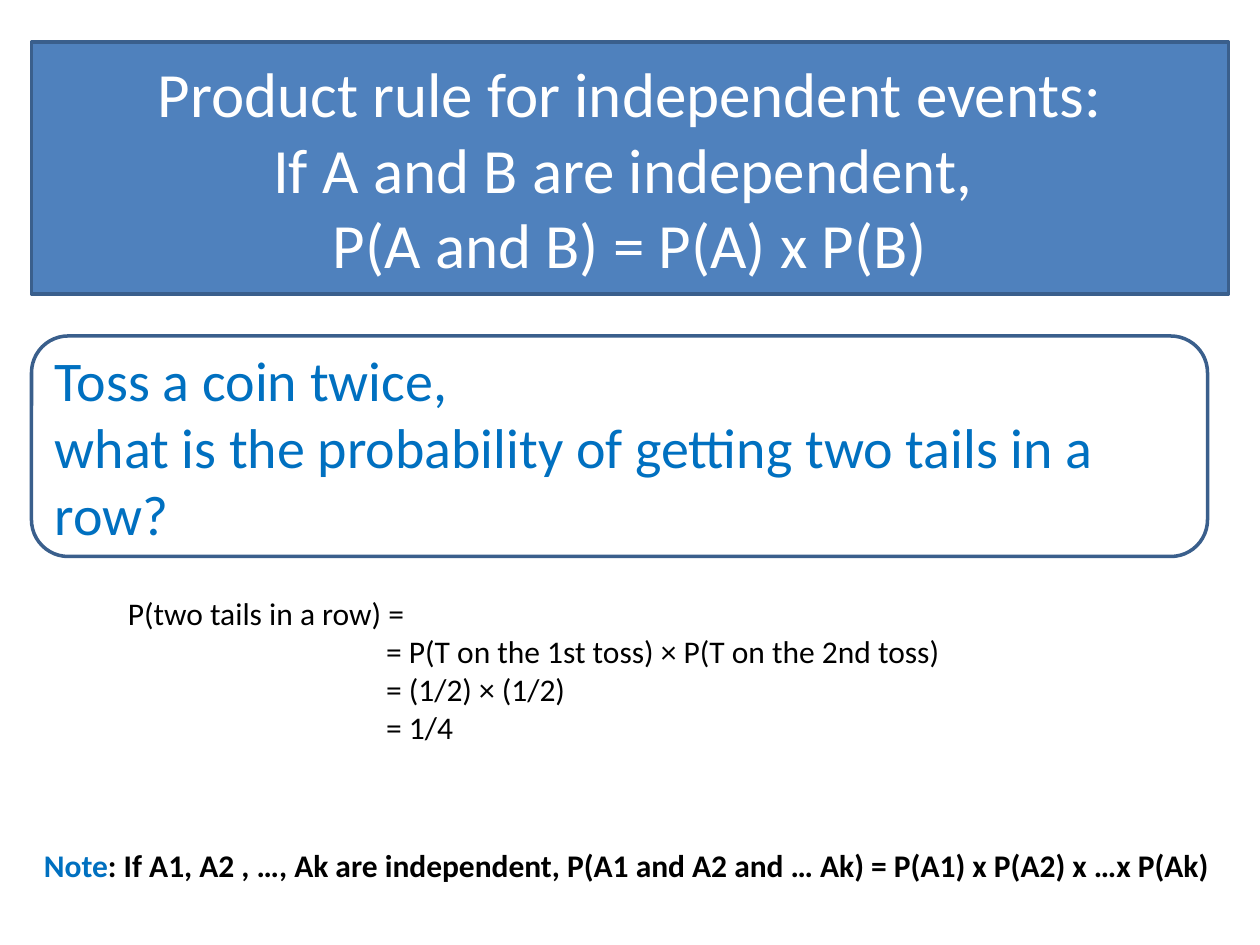
from dataclasses import dataclass

from pptx import Presentation
from pptx import util as u
from pptx.dml.color import RGBColor
from pptx.enum import shapes, text

CELL = u.Inches(1) // 12  # the slide is a grid of 120 columns by 90 rows
FONT = "Calibri"
WHITE, BLACK, BLUE = "FFFFFF", "000000", "0070C0"
PANEL_FILL, PANEL_LINE = "4F81BD", "3A5F8C"
STEP_INDENT = u.Inches(2.05)


@dataclass
class Area:
    column: float
    row: float
    columns: float
    rows: float

    def lengths(self) -> list[int]:
        return [round(n * CELL) for n in (self.column, self.row, self.columns, self.rows)]


@dataclass
class Style:
    size: int
    color: str
    bold: bool = False
    align: text.PP_ALIGN = text.PP_ALIGN.LEFT


@dataclass
class Panel:
    kind: shapes.MSO_SHAPE
    area: Area
    fill: str | None
    lines: list[str]
    style: Style


def rgb(value: str) -> RGBColor:
    return RGBColor.from_string(value)


def format_span(span, style: Style) -> None:
    span.font.name = FONT
    span.font.size = u.Pt(style.size)
    span.font.bold = style.bold
    span.font.color.rgb = rgb(style.color)


def write_lines(frame, lines: list[str], style: Style) -> None:
    frame.word_wrap = True
    frame.text = "\n".join(lines)
    for para in frame.paragraphs:
        para.alignment = style.align
        for span in para.runs:
            format_span(span, style)


def draw_panel(page, panel: Panel) -> None:
    box = page.shapes.add_shape(panel.kind, *panel.area.lengths())
    box.shadow.inherit = False
    if panel.fill:
        box.fill.solid()
        box.fill.fore_color.rgb = rgb(panel.fill)
    else:
        box.fill.background()
    box.line.color.rgb = rgb(PANEL_LINE)
    box.line.width = u.Pt(2)
    box.text_frame.vertical_anchor = text.MSO_ANCHOR.MIDDLE
    write_lines(box.text_frame, panel.lines, panel.style)


def add_text_frame(page, area: Area):
    frame = page.shapes.add_textbox(*area.lengths()).text_frame
    frame.auto_size = text.MSO_AUTO_SIZE.SHAPE_TO_FIT_TEXT
    return frame


def draw_solution(page, area: Area, lines: list[str]) -> None:
    """Write the first line flush left and indent the steps below it."""
    frame = add_text_frame(page, area)
    write_lines(frame, lines, Style(18, BLACK))
    for para in frame.paragraphs[1:]:
        para._p.get_or_add_pPr().set("marL", str(STEP_INDENT))


def draw_note(page, area: Area, label: str, statement: str) -> None:
    frame = add_text_frame(page, area)
    frame.word_wrap = False
    para = frame.paragraphs[0]
    for wording, color in ((label, BLUE), (statement, BLACK)):
        span = para.add_run()
        span.text = wording
        format_span(span, Style(18, color, bold=True))


PANELS = [
    Panel(
        shapes.MSO_SHAPE.RECTANGLE,
        Area(3, 4, 114, 24),
        PANEL_FILL,
        [
            "Product rule for independent events:",
            "If A and B are independent, ",
            "P(A and B) = P(A) x P(B)",
        ],
        Style(36, WHITE, align=text.PP_ALIGN.CENTER),
    ),
    Panel(
        shapes.MSO_SHAPE.ROUNDED_RECTANGLE,
        Area(3, 32, 112, 21),
        None,
        ["Toss a coin twice,", "what is the probability of getting two tails in a row?"],
        Style(32, BLUE),
    ),
]
SOLUTION = [
    "P(two tails in a row) =",
    "= P(T on the 1st toss) × P(T on the 2nd toss)",
    "= (1/2) × (1/2)",
    "= 1/4",
]


def main() -> None:
    deck = Presentation()
    deck.slide_width, deck.slide_height = 120 * CELL, 90 * CELL
    page = deck.slides.add_slide(deck.slide_layouts[6])
    for panel in PANELS:
        draw_panel(page, panel)
    draw_solution(page, Area(11, 56, 85, 15.75), SOLUTION)
    draw_note(
        page,
        Area(3, 80, 114.6, 4.8),
        "Note",
        ": If A1, A2 , …, Ak are independent, P(A1 and A2 and … Ak) = P(A1) x P(A2) x …x P(Ak)",
    )
    deck.save("out.pptx")


if __name__ == "__main__":
    main()
